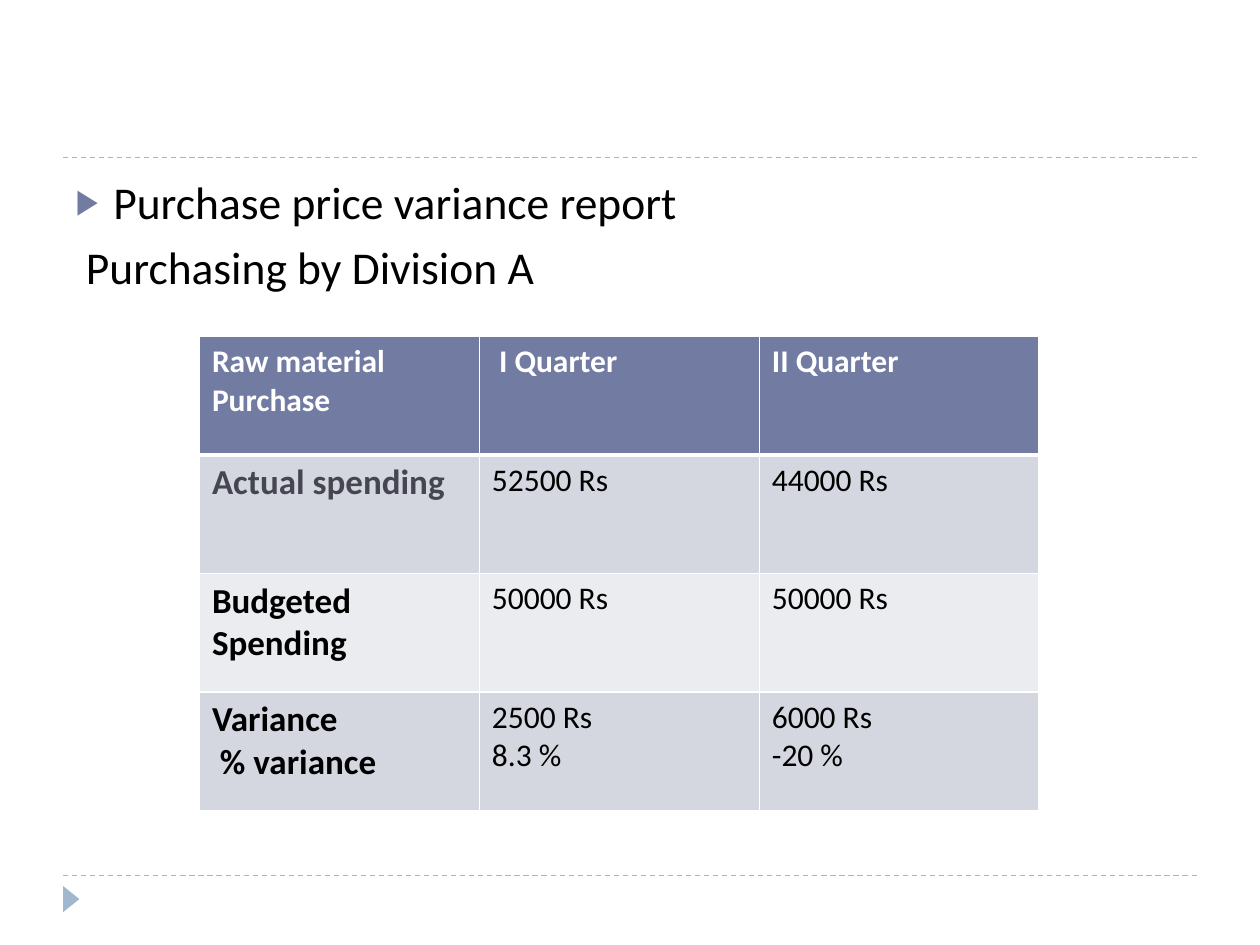
from lxml.etree import SubElement
from pptx import Presentation
from pptx.dml.color import RGBColor
from pptx.enum.dml import MSO_LINE_DASH_STYLE as Dash
from pptx.enum.shapes import MSO_CONNECTOR as Connector, MSO_SHAPE as Shape
from pptx.enum.text import MSO_AUTO_SIZE as AutoSize
from pptx.oxml.ns import qn
from pptx.util import Cm, Pt

FONT = "Calibri"
BLACK, WHITE = "000000", "FFFFFF"
ACCENT, PALE_BLUE, MUTED = "727CA3", "9FB8CD", "464653"
ROW_FILLS = [ACCENT, "D5D7E0", "EBECF0", "D5D7E0"]
VARIANCE_ROWS = [
    ["Raw material Purchase", " I Quarter", "II Quarter"],
    ["Actual spending", "52500 Rs", "44000 Rs"],
    ["Budgeted\nSpending", "50000 Rs", "50000 Rs"],
    ["Variance\n % variance", "2500 Rs\n8.3 %", "6000 Rs\n-20 %"],
]


def color(hex_code):
    return RGBColor.from_string(hex_code)


def style_text(paragraph, size, hex_code, bold=False):
    for run in paragraph.runs:
        run.font.name = FONT
        run.font.size = Pt(size)
        run.font.bold = bold
        run.font.color.rgb = color(hex_code)


def add_divider(slide, y):
    divider = slide.shapes.add_connector(
        Connector.STRAIGHT, Cm(1.27), Cm(y), Cm(24.13), Cm(y))
    divider.line.color.rgb = color(PALE_BLUE)
    divider.line.width = Pt(0.75)
    divider.line.dash_style = Dash.DASH
    SubElement(divider.element.spPr, qn("a:effectLst"))


def add_footer_marker(slide):
    marker = slide.shapes.add_shape(
        Shape.ISOSCELES_TRIANGLE, Cm(1.17), Cm(17.96), Cm(0.53), Cm(0.33))
    marker.rotation = 90
    marker.shadow.inherit = False
    marker.fill.solid()
    marker.fill.fore_color.rgb = color(PALE_BLUE)
    marker.line.fill.background()


def set_bullet(paragraph, symbol=None):
    properties = paragraph._p.get_or_add_pPr()
    properties.set("marL", str(Cm(0.76)))
    properties.set("indent", str(-Cm(0.76)))
    if symbol is None:
        SubElement(properties, qn("a:buNone"))
        return
    bullet_color = SubElement(properties, qn("a:buClr"))
    SubElement(bullet_color, qn("a:srgbClr"), val=ACCENT)
    SubElement(properties, qn("a:buSzPct"), val="76000")
    SubElement(properties, qn("a:buFont"), typeface=FONT)
    SubElement(properties, qn("a:buChar"), char=symbol)


def fill_heading(body):
    body.left, body.top = Cm(1.27), Cm(3.38)
    body.width, body.height = Cm(22.86), Cm(13.72)
    frame = body.text_frame
    frame.text = "Purchase price variance report\n Purchasing by Division A"
    frame.auto_size = AutoSize.NONE
    report, division = frame.paragraphs
    set_bullet(report, "▶")
    set_bullet(division)
    report.space_before = Pt(0)
    division.space_before = Pt(6)
    for paragraph in frame.paragraphs:
        style_text(paragraph, 26, BLACK)


def set_border(cell, side, width):
    border = SubElement(cell._tc.get_or_add_tcPr(), qn(f"a:ln{side}"),
                        w=str(Pt(width)))
    fill = SubElement(border, qn("a:solidFill"))
    SubElement(fill, qn("a:srgbClr"), val=WHITE)


def cell_style(row, column):
    if row == 0:
        return 18, WHITE, True
    if column == 0:
        return 20, MUTED if row == 1 else BLACK, True
    return 18, BLACK, False


def add_variance_table(slide):
    table = slide.shapes.add_table(
        len(VARIANCE_ROWS), len(VARIANCE_ROWS[0]),
        Cm(4.02), Cm(6.78), Cm(16.93), Cm(9.56)).table
    for row, texts in enumerate(VARIANCE_ROWS):
        for column, text in enumerate(texts):
            cell = table.cell(row, column)
            cell.text = text
            for paragraph in cell.text_frame.paragraphs:
                style_text(paragraph, *cell_style(row, column))
            set_border(cell, "L", 1)
            set_border(cell, "R", 1)
            set_border(cell, "T", 3 if row == 1 else 1)
            set_border(cell, "B", 3 if row == 0 else 1)
            cell.fill.solid()
            cell.fill.fore_color.rgb = color(ROW_FILLS[row])


def main():
    presentation = Presentation()
    presentation.slide_width, presentation.slide_height = Cm(25.4), Cm(19.05)
    slide = presentation.slides.add_slide(presentation.slide_layouts[1])
    title, body = slide.placeholders
    title.element.getparent().remove(title.element)
    add_divider(slide, 17.65)
    add_divider(slide, 3.17)
    add_footer_marker(slide)
    fill_heading(body)
    add_variance_table(slide)
    presentation.save("out.pptx")


if __name__ == "__main__":
    main()
